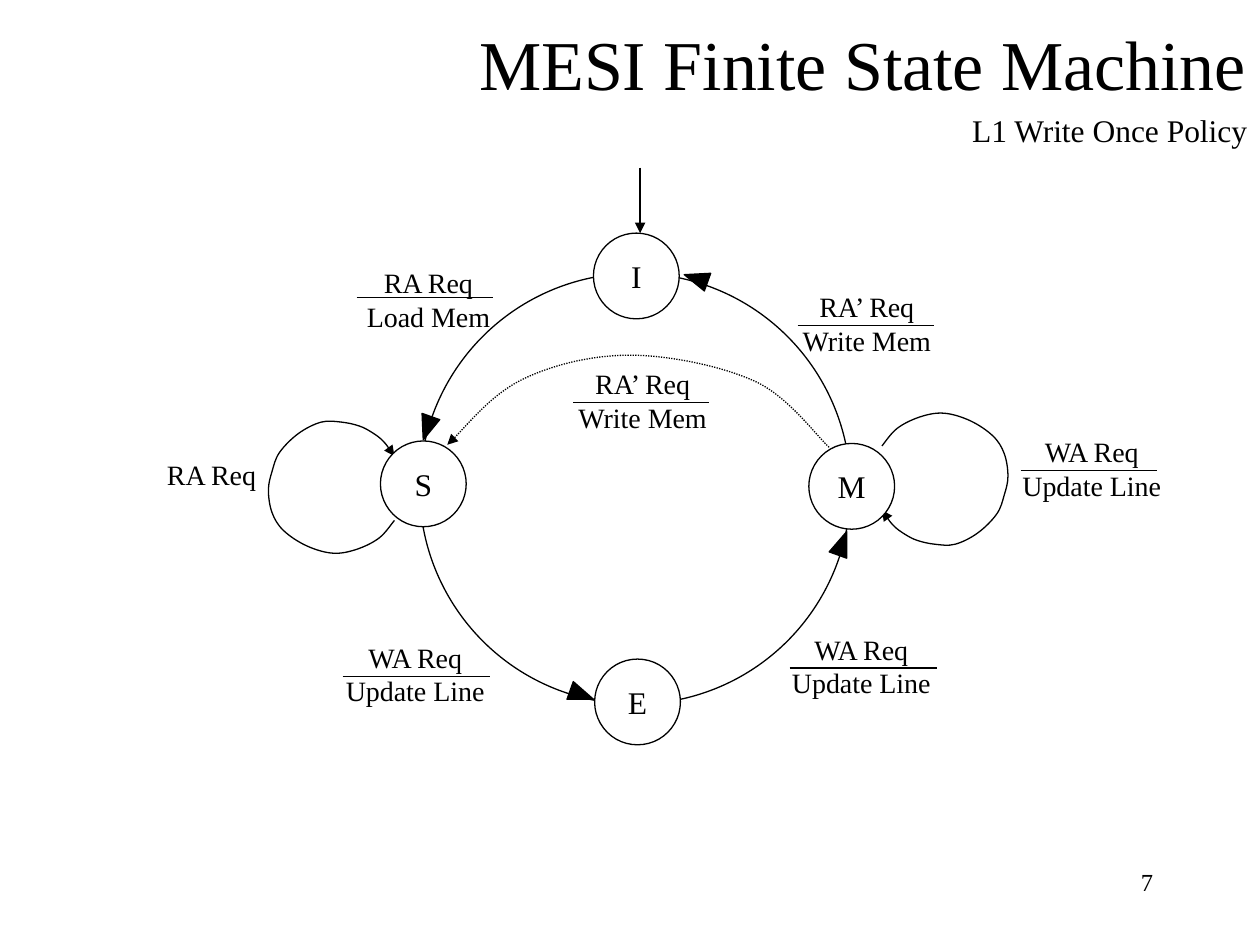
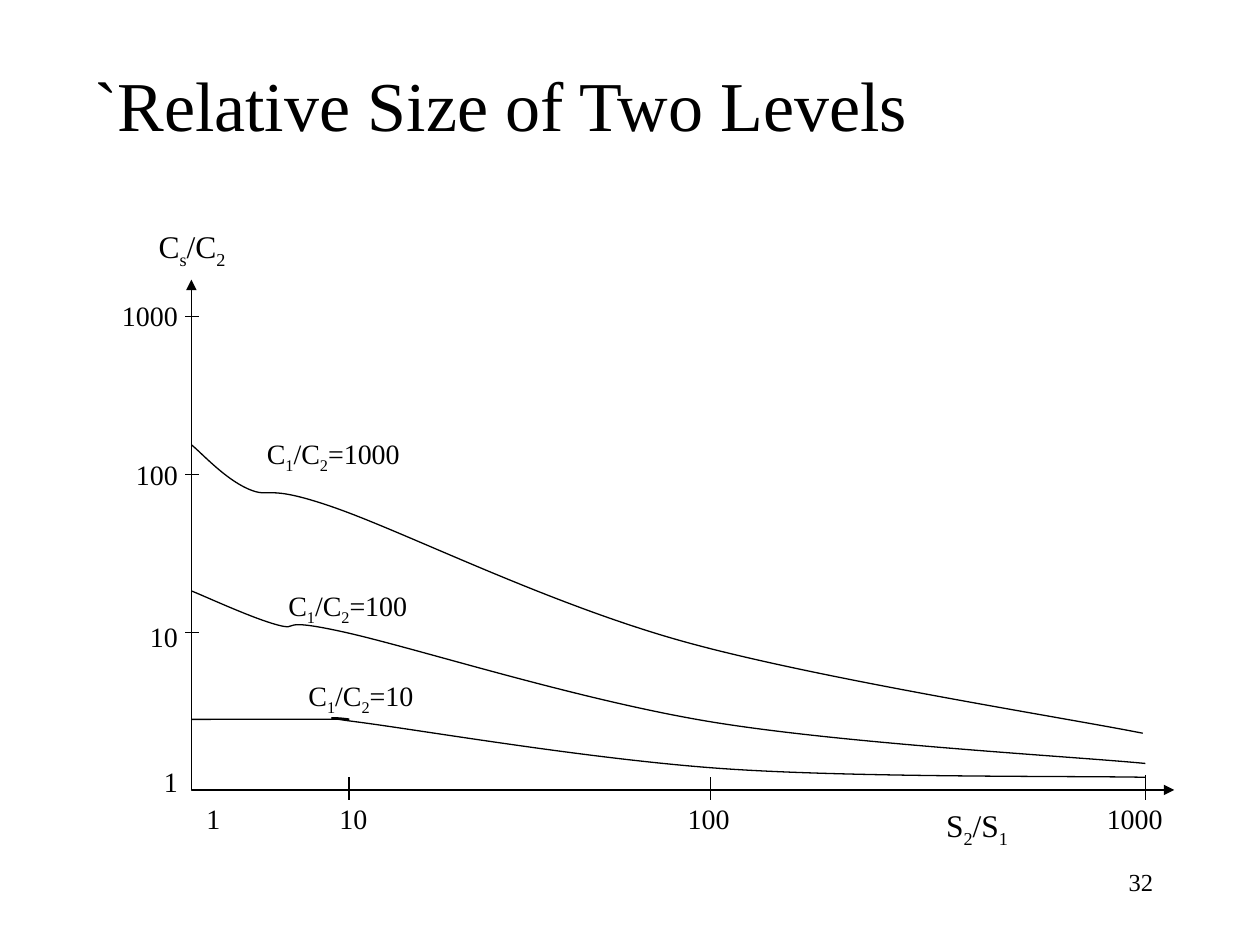
from lxml import etree
from pptx import Presentation
from pptx import util as u
from pptx.dml.color import RGBColor
from pptx.enum import dml, shapes, text as t
from pptx.oxml.ns import qn

FONT, BLACK, WHITE = "Times New Roman", "000000", "FFFFFF"
LEFT, CENTER, RIGHT = t.PP_ALIGN.LEFT, t.PP_ALIGN.CENTER, t.PP_ALIGN.RIGHT
MIDDLE, TOP = t.MSO_ANCHOR.MIDDLE, t.MSO_ANCHOR.TOP
colour = RGBColor.from_string


def style(shape, fill=None, dash=None, arrows=()):
    """Thin black line, optional fill, arrowheads, and no shadow."""
    if fill:
        shape.fill.solid()
        shape.fill.fore_color.rgb = colour(fill)
    elif hasattr(shape, "fill"):
        shape.fill.background()
    shape.line.width = u.Pt(0.75)
    shape.line.color.rgb = colour(BLACK)
    if dash:
        shape.line.dash_style = dash
    properties = shape._element.spPr
    for end in arrows:
        etree.SubElement(properties.find(qn("a:ln")), qn(f"a:{end}"), type="triangle")
    etree.SubElement(properties, qn("a:effectLst"))


def write(shape, text, size=16, align=LEFT, anchor=TOP, wrap=False, gaps=(), tabs=()):
    """Fill a shape with text; the letter after an underscore is a subscript."""
    frame = shape.text_frame
    frame.word_wrap, frame.vertical_anchor = wrap, anchor
    for row, line in enumerate(text.split("\n")):
        para = frame.add_paragraph() if row else frame.paragraphs[0]
        para.alignment = align
        if row and gaps:
            para.space_before = u.Pt(gaps[row - 1])
        if tabs:
            stops = etree.SubElement(para._p.get_or_add_pPr(), qn("a:tabLst"))
            for stop in tabs:
                etree.SubElement(stops, qn("a:tab"), pos=str(u.Pt(stop)), algn="l")
        first, *others = line.split("_")
        pieces = [(first, False)]
        for other in others:
            pieces += [(other[0], True), (other[1:], False)]
        for piece, lowered in pieces:
            if not piece:
                continue
            span = para.add_run()
            span.text = piece
            span.font.name, span.font.size = FONT, u.Pt(size)
            span.font.color.rgb = colour(BLACK)
            if lowered:
                span._r.get_or_add_rPr().set("baseline", "-25000")


deck = Presentation()
deck.slide_width, deck.slide_height = u.Pt(720), u.Pt(540)
machine, levels = [deck.slides.add_slide(deck.slide_layouts[6]) for _ in range(2)]

# Titles and page numbers
for page, title, at, align, number in [
    (machine, "MESI Finite State Machine", (107.3, 0, 612, 72), RIGHT, "7"),
    (levels, "`Relative Size of Two Levels", (46.8, 20.9, 577.4, 76.3), LEFT, "32"),
]:
    box = page.shapes.add_textbox(*map(u.Pt, at))
    write(box, title, size=40, align=align, anchor=MIDDLE, wrap=True)
    box = page.shapes.add_textbox(*map(u.Pt, (516.2, 491.8, 149.8, 36)))
    write(box, number, size=14, align=RIGHT, wrap=True)

# Straight lines: start arrow, then axis ticks
straight = [(machine, 365.8, 95.8, 365.8, 133.2, ["tailEnd"])]
straight += [(levels, 105.8, 180.7 + 90.3 * step, 113.8, 180.7 + 90.3 * step, [])
             for step in range(3)]
straight += [(levels, x, top, x, 457.2, [])
             for x, top in [(199.4, 444.2), (406.1, 444.2), (654.5, 442.8)]]

# Transition labels: input over output, with a rule between
for label, left, top, width, rule_left, rule_y, rule_width in [
    ("RA Req\nLoad Mem", 202.3, 148.3, 85, 203.8, 169.9, 77.8),
    ("WA Req\nUpdate Line", 190.1, 362.2, 94.3, 195.8, 386.6, 84),
    ("WA Req\nUpdate Line", 445, 357.8, 94.3, 451.2, 381.7, 84),
    ("WA Req\nUpdate Line", 576.7, 244.8, 94.3, 583.2, 268.7, 77.8),
    ("RA’ Req\nWrite Mem", 450.7, 162, 89.3, 455.8, 186.2, 77.8),
    ("RA’ Req\nWrite Mem", 322.6, 205.9, 89.3, 327.6, 229.9, 77.8),
]:
    box = machine.shapes.add_textbox(*map(u.Pt, (left, top, width, 46)))
    write(box, label, align=CENTER)
    straight.append((machine, rule_left, rule_y, rule_left + rule_width, rule_y, []))

for page, *ends, arrows in straight:
    line = page.shapes.add_connector(shapes.MSO_CONNECTOR.STRAIGHT, *map(u.Pt, ends))
    style(line, arrows=arrows)

# Smooth curves, given by the points they pass through
shared_loop = [
    (225.4, 297.4), (216.7, 307.4), (203.8, 313.9), (190.1, 316.1), (175, 311.8),
    (162, 303.1), (155.5, 293), (153.4, 280.1), (155.5, 269.3), (159.8, 258.5),
    (170.6, 247.7), (183.6, 241.2), (195.1, 241.2), (205.2, 243.4), (212.4, 247),
    (218.9, 252), (225.4, 260.6)]
modified_loop = [(729.4 - x, 552.2 - y) for x, y in shared_loop]
write_back = [(473.8, 255.6), (432, 218.2), (361.4, 203), (298.8, 216.7), (255.6, 254.2)]
ratio_1000 = [(109.4, 254.2), (141.8, 279.4), (191.5, 290.2), (390.2, 366.5), (653, 419)]
ratio_100 = [(109.4, 337.7), (158.4, 357.1), (197.3, 361.4), (406.8, 412.6), (654.5, 436.3)]
ratio_10 = [(109.4, 411.1), (195.8, 411.1), (204.5, 412.6), (412.6, 439.2), (654.5, 444.2)]
for page, anchors, dash, arrows in [
    (machine, shared_loop, None, ["tailEnd"]),
    (machine, modified_loop, None, ["tailEnd"]),
    (machine, write_back, dml.MSO_LINE.ROUND_DOT, ["tailEnd"]),
    (levels, ratio_1000, None, []),
    (levels, ratio_100, None, []),
    (levels, ratio_10, None, []),
]:
    padded = [anchors[0], *anchors, anchors[-1]]
    points = []
    for before, start, end, after in zip(padded, padded[1:], padded[2:], padded[3:]):
        points.append([s + (e - b) / 6 for b, s, e in zip(before, start, end)])
        points.append([e - (a - s) / 6 for s, e, a in zip(start, end, after)])
        points.append(end)
    builder = page.shapes.build_freeform(*map(u.Pt, anchors[0]))
    builder.add_line_segments([(u.Pt(x), u.Pt(y)) for x, y in points], close=False)
    curve = builder.convert_to_shape()
    outline = curve._element.find(".//" + qn("a:path"))
    segments = outline.findall(qn("a:lnTo"))
    for index in range(0, len(segments), 3):
        bezier = etree.SubElement(outline, qn("a:cubicBezTo"))
        for segment in segments[index:index + 3]:
            bezier.append(segment[0])
            outline.remove(segment)
    style(curve, dash=dash, arrows=arrows)

# State machine: ring and states
box = machine.shapes.add_textbox(*map(u.Pt, (547.2, 59.8, 172.8, 28.8)))
write(box, "L1 Write Once Policy", size=18, align=RIGHT)
box = machine.shapes.add_textbox(*map(u.Pt, (87.8, 257.8, 66.2, 26.6)))
write(box, "RA Req", align=CENTER)
for name, left, top, size in [
    ("", 239.8, 156.2, 246.2),
    ("I", 339.1, 133.2, 49),
    ("S", 217.4, 252, 49),
    ("E", 339.8, 376.6, 49),
    ("M", 462.2, 253.4, 49),
]:
    state = machine.shapes.add_shape(
        shapes.MSO_SHAPE.OVAL, *map(u.Pt, (left, top, size, size)))
    style(state, fill=WHITE if name else None)
    if name:
        write(state, name, size=18, align=CENTER, anchor=MIDDLE)

# Solid arrowheads on the ring
for tip, *base in [
    [(241.9, 251.3), (251.3, 239.8), (241.2, 236.2)],
    [(339.1, 399.6), (327.6, 389.5), (324, 399.6)],
    [(483.8, 303.8), (473.8, 315.4), (483.8, 319)],
    [(391, 157), (402.5, 166.3), (406.1, 156.2)],
]:
    builder = machine.shapes.build_freeform(*map(u.Pt, tip))
    builder.add_line_segments([(u.Pt(x), u.Pt(y)) for x, y in base], close=True)
    style(builder.convert_to_shape(), fill=BLACK)

# Size diagram: axes
builder = levels.shapes.build_freeform(u.Pt(109.4), u.Pt(159.8))
builder.add_line_segments(
    [(u.Pt(x), u.Pt(y)) for x, y in [(109.4, 451.4), (671, 451.4)]], close=False)
style(builder.convert_to_shape(), arrows=["headEnd", "tailEnd"])

# Scale values
box = levels.shapes.add_textbox(*map(u.Pt, (61.9, 167, 46.8, 290.9)))
write(box, "1000\n100\n10\n1", align=RIGHT, gaps=(72, 73, 64))
box = levels.shapes.add_textbox(*map(u.Pt, (110.9, 454.3, 576, 26.6)))
write(box, "1\t10\t100\t1000", wrap=True, tabs=(76, 275, 514.5))

# Axis and curve names
for label, left, top, width, height, size in [
    ("C_1/C_2=1000", 145.4, 246.2, 92.2, 26.6, 16),
    ("C_1/C_2=100", 157.7, 332.6, 84.2, 26.6, 16),
    ("C_1/C_2=10", 169.2, 384.5, 76.3, 26.6, 16),
    ("C_s/C_2", 83.5, 126, 54, 28.8, 18),
    ("S_2/S_1", 533.5, 457.2, 51.8, 28.8, 18),
]:
    box = levels.shapes.add_textbox(*map(u.Pt, (left, top, width, height)))
    write(box, label, size=size)

deck.save("out.pptx")
